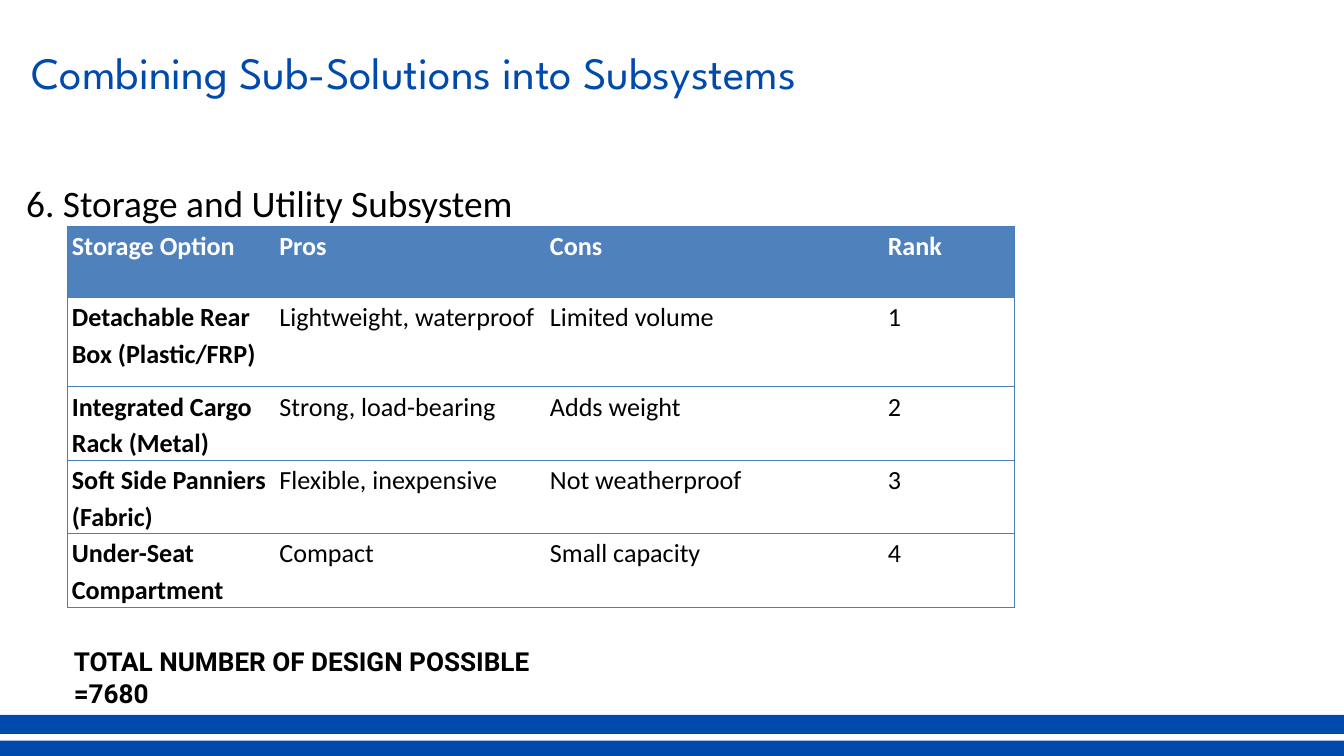
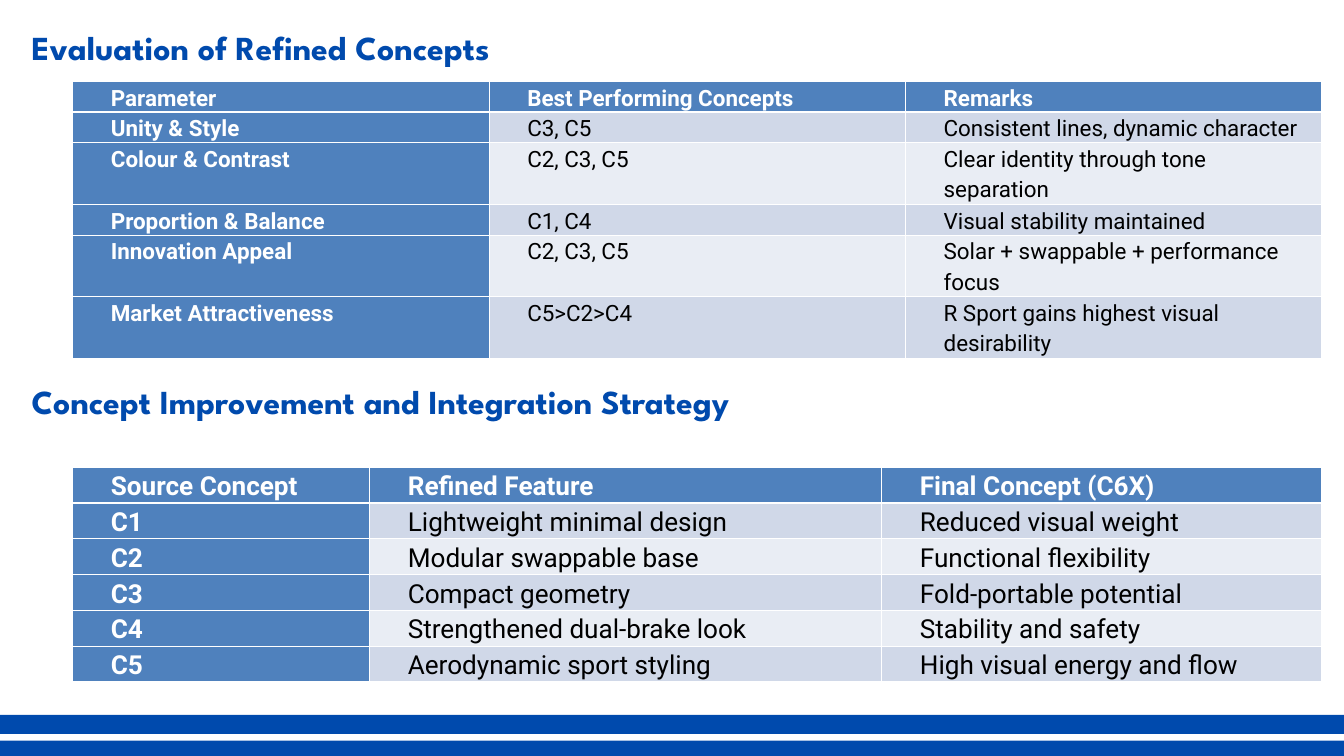
from dataclasses import dataclass
from lxml.etree import SubElement
from pptx import Presentation
from pptx.dml.color import RGBColor
from pptx.enum.shapes import MSO_SHAPE
from pptx.enum.text import MSO_ANCHOR, MSO_AUTO_SIZE, PP_ALIGN
from pptx.oxml.ns import qn
from pptx.util import Emu, Inches, Pt


@dataclass(frozen=True)
class Theme:
    brand: str = "004AAD"
    black: str = "000000"
    white: str = "FFFFFF"
    header: str = "4F81BD"
    rule: str = "4B7EBC"
    stripes: tuple = ("D0D8E8", "E9EDF4")
    heading_font: str = "League Spartan"
    plain_font: str = "Calibri"
    data_font: str = "Roboto"
    title_size: int = 48
    lead_size: int = 40
    heading_size: int = 36
    text_size: int = 28
    compact_size: int = 24
    leading: float = 1.15
    indent: float = 0.5


THEME = Theme()


@dataclass(frozen=True)
class Box:
    left: int
    top: int
    width: int
    height: int

    def share(self, left, top, width, height):
        return Box(
            Emu(int(self.left + self.width * left / 100)),
            Emu(int(self.top + self.height * top / 100)),
            Emu(int(self.width * width / 100)),
            Emu(int(self.height * height / 100)),
        )


@dataclass(frozen=True)
class TextStyle:
    font: str
    size: int
    color: str
    bold: bool = False
    leading: object = None
    indent: float = 0
    after: int = 0


@dataclass(frozen=True)
class TableStyle:
    font: str
    size: int
    indent: float
    label_color: str
    label_fill: str
    stripes: tuple
    line: str
    line_width: float
    header_line_width: float
    inner_columns: bool


RANKING = TableStyle(THEME.plain_font, THEME.text_size, 0, THEME.black, None,
                     (None,), THEME.rule, 0.75, 0.75, False)


def concept_table_style(size):
    return TableStyle(THEME.data_font, size, THEME.indent, THEME.white, THEME.header,
                      THEME.stripes, THEME.white, 1, 3, True)


def write(para, text, style):
    properties = para._p.get_or_add_pPr()
    properties.set("marL", str(Inches(style.indent)))
    properties.set("indent", "0")
    SubElement(properties, qn("a:buNone"))
    para.alignment = PP_ALIGN.LEFT
    para.space_before = Pt(0)
    para.space_after = Pt(style.after)
    if style.leading:
        para.line_spacing = style.leading
    span = para.add_run()
    span.text = text
    span.font.name = style.font
    span.font.size = Pt(style.size)
    span.font.bold = style.bold
    span.font.color.rgb = RGBColor.from_string(style.color)


def fill_text(shape, box, text, style, inset=True):
    shape.left, shape.top, shape.width, shape.height = box.left, box.top, box.width, box.height
    frame = shape.text_frame
    frame.word_wrap = True
    frame.auto_size = MSO_AUTO_SIZE.NONE
    frame.vertical_anchor = MSO_ANCHOR.TOP
    frame.margin_left = frame.margin_right = Inches(0.1 if inset else 0)
    frame.margin_top = frame.margin_bottom = Inches(0.05 if inset else 0)
    write(frame.paragraphs[0], text, style)


def add_bands(page, box):
    for top in (94.58, 97.96):
        place = box.share(-0.65, top, 101.25, 2.5)
        band = page.shapes.add_shape(MSO_SHAPE.RECTANGLE, place.left, place.top,
                                     place.width, place.height)
        band.shadow.inherit = False
        band.fill.solid()
        band.fill.fore_color.rgb = RGBColor.from_string(THEME.brand)
        band.line.fill.background()


def add_borders(cell, widths, color):
    properties = cell._tc.get_or_add_tcPr()
    for side, width in zip(("lnL", "lnR", "lnT", "lnB"), widths):
        line = SubElement(properties, qn(f"a:{side}"), w=str(Pt(width)))
        if width:
            paint = SubElement(line, qn("a:solidFill"))
            SubElement(paint, qn("a:srgbClr"), val=color)
        else:
            SubElement(line, qn("a:noFill"))


def format_cell(cell, text, row, column, last_column, style):
    side = style.line_width
    inner = side if style.inner_columns else 0
    add_borders(cell, (
        side if column == 0 else inner,
        side if column == last_column else inner,
        style.header_line_width if row == 1 else side,
        style.header_line_width if row == 0 else side,
    ), style.line)
    if row == 0:
        fill, color = THEME.header, THEME.white
    elif column == 0:
        fill, color = style.label_fill, style.label_color
    else:
        fill, color = style.stripes[(row - 1) % len(style.stripes)], THEME.black
    if fill:
        cell.fill.solid()
        cell.fill.fore_color.rgb = RGBColor.from_string(fill)
    else:
        cell.fill.background()
    cell.margin_left = cell.margin_right = Inches(0.07)
    cell.margin_top = cell.margin_bottom = 0
    write(cell.text_frame.paragraphs[0], text,
          TextStyle(style.font, style.size, color, row == 0 or column == 0,
                    THEME.leading, style.indent, 10))


def add_data_table(page, box, records, column_weights, row_weights, style):
    table = page.shapes.add_table(len(records), len(column_weights), box.left, box.top,
                                  box.width, box.height).table
    for column, weight in zip(table.columns, column_weights):
        column.width = Emu(int(box.width * weight / sum(column_weights)))
    for row, weight in zip(table.rows, row_weights):
        row.height = Emu(int(box.height * weight / sum(row_weights)))
    for row, record in enumerate(records):
        for column, text in enumerate(record):
            format_cell(table.cell(row, column), text, row, column, len(record) - 1, style)


def build_storage_page(page, box):
    fill_text(page.placeholders[1], box.share(1.95, 20.8, 52.85, 8),
              "6. Storage and Utility Subsystem",
              TextStyle(THEME.plain_font, THEME.lead_size, THEME.black, leading=Pt(72.1)),
              inset=False)
    fill_text(page.shapes.title, box.share(1.85, 5.42, 70.4, 21.87),
              "Combining Sub-Solutions into Subsystems",
              TextStyle(THEME.heading_font, THEME.title_size, THEME.brand, leading=1.0))
    options = [
        ("Storage Option", "Pros", "Cons", "Rank"),
        ("Detachable Rear Box (Plastic/FRP)", "Lightweight, waterproof", "Limited volume", "1"),
        ("Integrated Cargo Rack (Metal)", "Strong, load-bearing", "Adds weight", "2"),
        ("Soft Side Panniers (Fabric)", "Flexible, inexpensive", "Not weatherproof", "3"),
        ("Under-Seat Compartment", "Compact", "Small capacity", "4"),
    ]
    add_data_table(page, box.share(5, 29.87, 70.5, 48.36), options,
                   (3.09, 4.03, 5.03, 1.96), (1.06, 1.33, 1.06, 0.93, 1.06), RANKING)
    add_bands(page, box)
    total = page.shapes.add_textbox(0, 0, 0, 0)
    fill_text(total, box.share(5, 84.98, 36.75, 5.07),
              "TOTAL NUMBER OF DESIGN POSSIBLE =7680",
              TextStyle(THEME.data_font, THEME.text_size, THEME.black, bold=True))


def build_concept_page(page, box):
    add_bands(page, box)
    heading = TextStyle(THEME.heading_font, THEME.heading_size, THEME.brand, True,
                        THEME.leading, THEME.indent, 10)
    fill_text(page.shapes.title, box.share(-0.65, 2.31, 50.65, 6.84),
              "Evaluation of Refined Concepts", heading)
    evaluation = [
        ("Parameter", "Best Performing Concepts", "Remarks"),
        ("Unity & Style", "C3, C5", "Consistent lines, dynamic character"),
        ("Colour & Contrast", "C2, C3, C5", "Clear identity through tone separation"),
        ("Proportion & Balance", "C1, C4", "Visual stability maintained"),
        ("Innovation Appeal", "C2, C3, C5", "Solar + swappable + performance focus"),
        ("Market Attractiveness", "C5>C2>C4", "R Sport gains highest visual desirability"),
    ]
    add_data_table(page, box.share(5.4, 10.76, 92.95, 36.6), evaluation,
                   (1, 1, 1), (1, 1, 2, 1, 2, 2), concept_table_style(THEME.compact_size))
    fill_text(page.placeholders[1], box.share(-0.65, 49.16, 75.3, 6.84),
              "Concept Improvement and Integration Strategy", heading)
    integration = [
        ("Source Concept", "Refined Feature", "Final Concept (C6X)"),
        ("C1", "Lightweight minimal design", "Reduced visual weight"),
        ("C2", "Modular swappable base", "Functional flexibility"),
        ("C3", "Compact geometry", "Fold-portable potential"),
        ("C4", "Strengthened dual-brake look", "Stability and safety"),
        ("C5", "Aerodynamic sport styling", "High visual energy and flow"),
    ]
    add_data_table(page, box.share(5.4, 61.78, 92.95, 28.4), integration,
                   (4.42, 7.62, 6.55), (1,) * 6, concept_table_style(THEME.text_size))


def main():
    deck = Presentation()
    deck.slide_width, deck.slide_height = Inches(20), Inches(11.25)
    canvas = Box(0, 0, deck.slide_width, deck.slide_height)
    for build in (build_storage_page, build_concept_page):
        build(deck.slides.add_slide(deck.slide_layouts[1]), canvas)
    deck.save("out.pptx")


if __name__ == "__main__":
    main()
